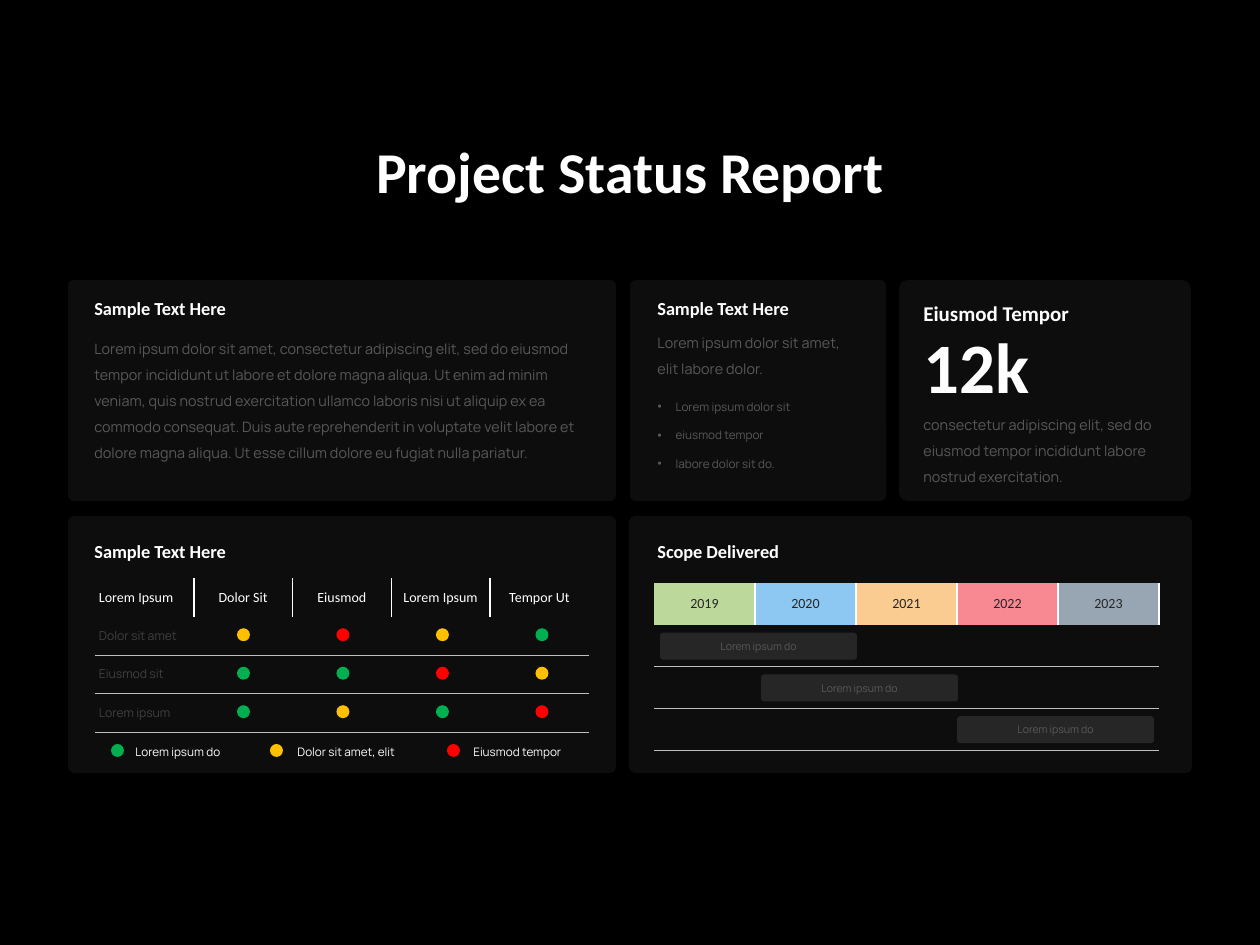
from lxml import etree
from pptx import Presentation
from pptx.dml.color import RGBColor
from pptx.enum.shapes import MSO_SHAPE
from pptx.enum.text import MSO_ANCHOR, MSO_AUTO_SIZE, PP_ALIGN
from pptx.oxml.ns import qn
from pptx.util import Emu, Pt

ROUNDED, OVAL = MSO_SHAPE.ROUNDED_RECTANGLE, MSO_SHAPE.OVAL
LEFT, CENTER = PP_ALIGN.LEFT, PP_ALIGN.CENTER
TOP, MIDDLE = MSO_ANCHOR.TOP, MSO_ANCHOR.MIDDLE
NO_FIT = MSO_AUTO_SIZE.NONE

HEADING_FONT, BODY_FONT = "Calibri", "Manrope"
WHITE, BLACK, PANEL = "FFFFFF", "000000", "0D0D0D"
GRAY, DIM, BAR, RULE = "595959", "404040", "262626", "BFBFBF"
GREEN, AMBER, RED = "00B050", "FFC000", "FF0000"
PLAIN_TABLE = "{2D5ABB26-0587-4C30-8999-92F81FD0307C}"
DOT = 13


def px(length):
    return Emu(round(length * 914400 / 126))


def color(hex_code):
    return RGBColor.from_string(hex_code)


def style(frame, size, font, hex_code, bold=False, align=LEFT, spacing=None):
    for paragraph in frame.paragraphs:
        paragraph.alignment = align
        paragraph.line_spacing = spacing
        for run in paragraph.runs:
            run.font.size, run.font.name, run.font.bold = Pt(size), font, bold
            run.font.color.rgb = color(hex_code)


def place(shape, x, y, w, h):
    shape.left, shape.top, shape.width, shape.height = px(x), px(y), px(w), px(h)


def add_text(slide, box, text, size, font, hex_code, bold=False, spacing=None):
    frame = slide.shapes.add_textbox(*map(px, box)).text_frame
    frame.word_wrap = True
    frame.text = text
    style(frame, size, font, hex_code, bold, spacing=spacing)


def add_heading(slide, box, text, size=10.5):
    add_text(slide, box, text, size, HEADING_FONT, WHITE, bold=True)


def add_body(slide, box, text):
    add_text(slide, box, text, 8.25, BODY_FONT, GRAY, spacing=1.5)


def add_filled(slide, kind, box, hex_code, radius=None):
    shape = slide.shapes.add_shape(kind, *map(px, box))
    shape.shadow.inherit = False
    shape.fill.solid()
    shape.fill.fore_color.rgb = color(hex_code)
    shape.line.fill.background()
    if radius is not None:
        shape.adjustments[0] = radius
    return shape


def add_panel(slide, box, radius=0.025):
    add_filled(slide, ROUNDED, box, PANEL, radius)


def add_dot(slide, x, y, hex_code):
    add_filled(slide, OVAL, (x, y, DOT, DOT), hex_code)


def add_border(cell, side, hex_code, points):
    line = etree.Element(qn("a:" + side), w=str(Pt(points)))
    fill = etree.SubElement(line, qn("a:solidFill"))
    etree.SubElement(fill, qn("a:srgbClr"), val=hex_code)
    cell._tc.get_or_add_tcPr().insert(0, line)


def add_grid(slide, box, headers, labels, header_color, header_fills, last_edge):
    """A header row with white dividers above body rows with thin rules."""
    rows, cols = len(labels) + 1, len(headers)
    table = slide.shapes.add_table(rows, cols, *map(px, box)).table
    table.first_row = table.horz_banding = False
    table._tbl.tblPr.find(qn("a:tableStyleId")).text = PLAIN_TABLE
    for column in table.columns:
        column.width = px(box[2] / cols)
    for r, row in enumerate(table.rows):
        row.height = px(box[3] / rows)
        for c, cell in enumerate(row.cells):
            cell.vertical_anchor = MIDDLE
            cell.margin_left = cell.margin_right = px(4)
            cell.margin_top = cell.margin_bottom = px(2)
            cell.fill.background()
            if r == 0:
                cell.text = headers[c]
                align = CENTER if c or header_fills else LEFT
                style(cell.text_frame, 8, HEADING_FONT, header_color, align=align)
                if header_fills:
                    cell.fill.solid()
                    cell.fill.fore_color.rgb = color(header_fills[c])
                if c < cols - 1 or last_edge:
                    add_border(cell, "lnR", WHITE, 1)
                continue
            if c == 0 and labels[r - 1]:
                cell.text = labels[r - 1]
                style(cell.text_frame, 7, BODY_FONT, DIM)
            else:  # a small empty line keeps the row height
                line = cell.text_frame.paragraphs[0]._p
                etree.SubElement(line, qn("a:endParaRPr"), sz="700")
            add_border(cell, "lnB", RULE, 0.25)


def title_region(slide, box):
    title = slide.shapes.title
    place(title, *box)
    frame = title.text_frame
    frame.text = "Project Status Report"
    frame.word_wrap, frame.auto_size = False, NO_FIT
    style(frame, 33, HEADING_FONT, WHITE, bold=True, align=CENTER)


def summary_region(slide, box):
    x, y, w, h = box
    add_panel(slide, box)
    add_heading(slide, (x + 14, y + 11, 287, 35), "Sample Text Here")
    add_body(slide, (x + 14, y + 45, 519, 168),
             "Lorem ipsum dolor sit amet, consectetur adipiscing elit, sed do eiusmod "
             "tempor incididunt ut labore et dolore magna aliqua. Ut enim ad minim "
             "veniam, quis nostrud exercitation ullamco laboris nisi ut aliquip ex ea "
             "commodo consequat. Duis aute reprehenderit in voluptate velit labore et "
             "dolore magna aliqua. Ut esse cillum dolore eu fugiat nulla pariatur.")


def points_region(slide, box):
    x, y, w, h = box
    add_panel(slide, box)
    add_heading(slide, (x + 15, y + 11, 222, 35), "Sample Text Here")
    add_body(slide, (x + 15, y + 39, 222, 63),
             "Lorem ipsum dolor sit amet, elit labore dolor.")
    points = slide.placeholders[1]
    slide.shapes._spTree.append(points._element)  # in front of the panel
    place(points, x + 15, y + 99, 204, 95)
    frame = points.text_frame
    frame.text = "Lorem ipsum dolor sit\neiusmod tempor\nlabore dolor sit do."
    frame.auto_size, frame.vertical_anchor = NO_FIT, TOP
    style(frame, 6.75, BODY_FONT, GRAY, spacing=2.0)
    for paragraph in frame.paragraphs:
        paragraph.space_before = Pt(0)
        properties = paragraph._p.get_or_add_pPr()
        properties.set("marL", str(px(18)))
        properties.set("indent", str(px(-18)))
        etree.SubElement(properties, qn("a:buChar"), char="•")


def metric_region(slide, box):
    x, y, w, h = box
    add_panel(slide, box, 0.039)
    add_heading(slide, (x + 12, y + 14, 262, 38), "Eiusmod Tempor", 12)
    add_heading(slide, (x + 12, y + 36, 262, 98), "12k", 40.5)
    add_body(slide, (x + 12, y + 121, 267, 89),
             "consectetur adipiscing elit, sed do eiusmod tempor incididunt labore "
             "nostrud exercitation.")


def status_region(slide, box):
    x, y, w, h = box
    add_panel(slide, box)
    add_heading(slide, (x + 14, y + 18, 495, 35), "Sample Text Here")
    left, top, width, height = grid = (x + 27, y + 62, 494, 154)
    headers = ["Lorem Ipsum", "Dolor Sit", "Eiusmod", "Lorem Ipsum", "Tempor Ut"]
    labels = ["Dolor sit amet", "Eiusmod sit", "Lorem ipsum"]
    add_grid(slide, grid, headers, labels, WHITE, None, last_edge=False)

    # One status dot in each cell
    statuses = [(AMBER, RED, AMBER, GREEN),
                (GREEN, GREEN, RED, AMBER),
                (GREEN, AMBER, GREEN, RED)]
    for r, row in enumerate(statuses):
        for c, status in enumerate(row):
            add_dot(slide, left + 142 + 99.5 * c,
                    top + height / 4 * (r + 1.5) - DOT / 2 - 1, status)

    # Legend
    legend = [(43, 55, GREEN, "Lorem ipsum do", 140),
              (202, 217, AMBER, "Dolor sit amet, elit", 160),
              (379, 393, RED, "Eiusmod tempor", 129)]
    for dot_x, text_x, status, meaning, room in legend:
        add_dot(slide, x + dot_x, y + 228, status)
        add_text(slide, (x + text_x, y + 215, room, 33), meaning,
                 6.75, BODY_FONT, WHITE, spacing=1.5)


def scope_region(slide, box):
    x, y, w, h = box
    add_panel(slide, box)
    add_heading(slide, (x + 16, y + 18, 231, 35), "Scope Delivered")
    left, top, width, height = grid = (x + 25, y + 67, 505, 167)
    years = ["2019", "2020", "2021", "2022", "2023"]
    fills = ["BCD99B", "8CC8F1", "FACC92", "F88892", "98A6B4"]
    add_grid(slide, grid, years, [""] * 3, BAR, fills, last_edge=True)

    # One scheduled bar in each row
    for r, start in enumerate((6, 107, 303)):
        bar = add_filled(slide, ROUNDED,
                         (left + start, top + height / 4 * (r + 1) + 8, 197, 27),
                         BAR, 0.12)
        frame = bar.text_frame
        frame.text, frame.vertical_anchor = "Lorem ipsum do", MIDDLE
        frame.margin_top = frame.margin_bottom = 0
        style(frame, 6, BODY_FONT, GRAY, align=CENTER)


def main():
    deck = Presentation()
    deck.slide_width, deck.slide_height = px(1260), px(945)
    slide = deck.slides.add_slide(deck.slide_layouts[1])
    slide.background.fill.solid()
    slide.background.fill.fore_color.rgb = color(BLACK)
    title_region(slide, (320, 129, 620, 83))
    summary_region(slide, (68, 280, 548, 221))
    points_region(slide, (630, 280, 256, 221))
    metric_region(slide, (899, 280, 292, 221))
    status_region(slide, (68, 516, 548, 257))
    scope_region(slide, (629, 516, 563, 257))
    deck.save("out.pptx")


if __name__ == "__main__":
    main()
